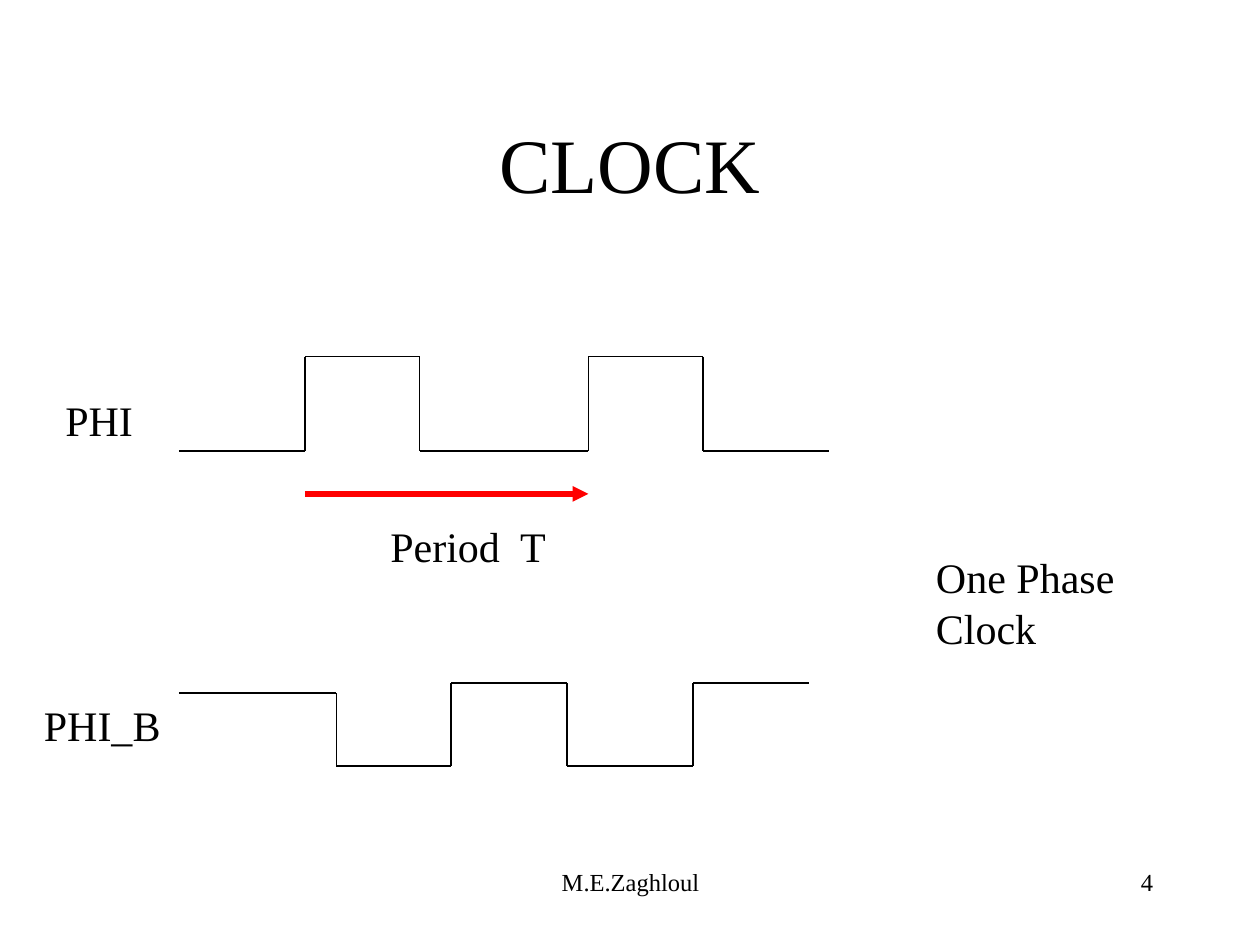
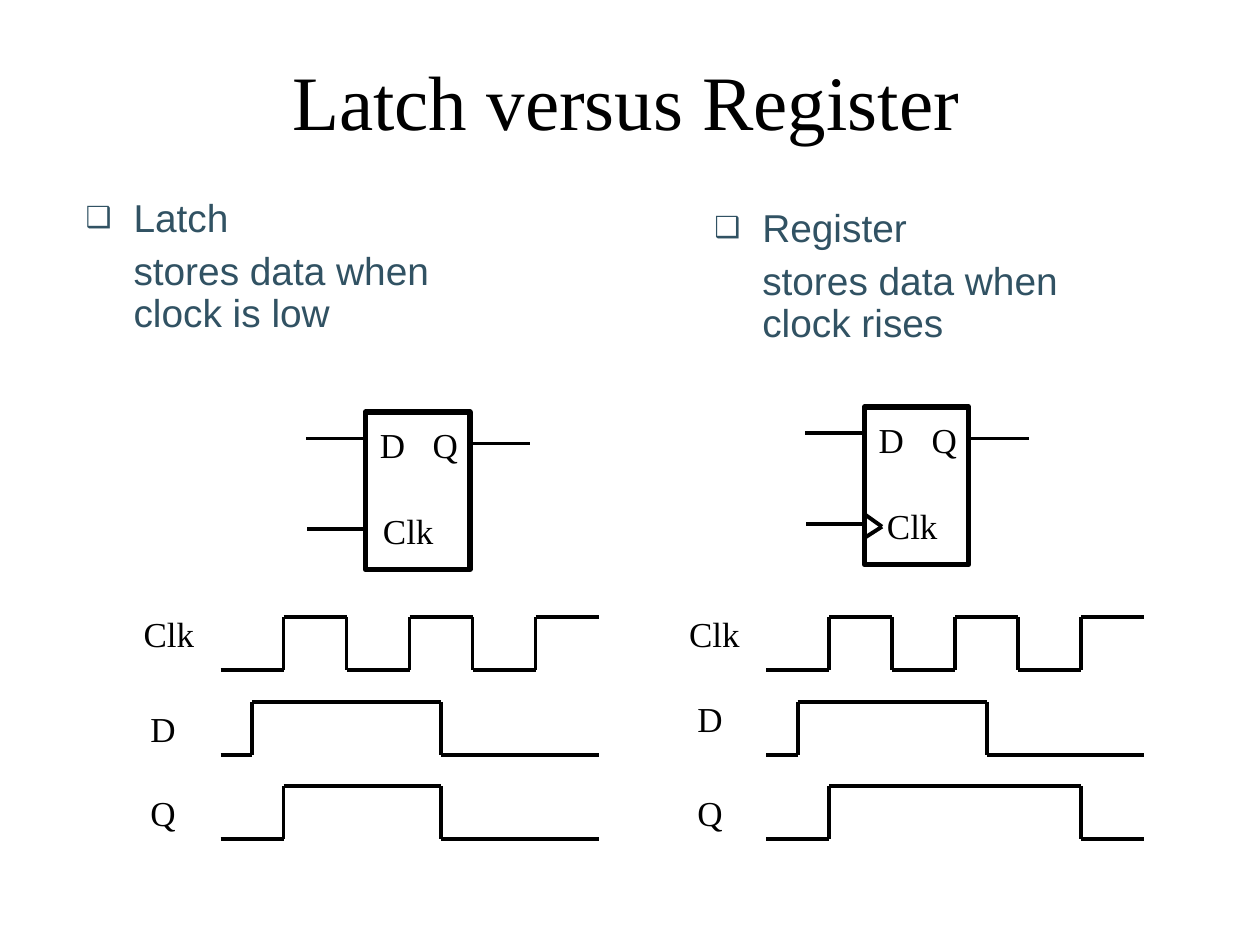
from dataclasses import dataclass
from itertools import pairwise

from lxml import etree
from pptx import Presentation
from pptx.dml.color import RGBColor
from pptx.enum.shapes import MSO_CONNECTOR, MSO_SHAPE
from pptx.enum.text import MSO_ANCHOR, MSO_AUTO_SIZE, PP_ALIGN
from pptx.oxml.ns import qn
from pptx.util import Inches, Pt

LEFT, CENTER, RIGHT = PP_ALIGN.LEFT, PP_ALIGN.CENTER, PP_ALIGN.RIGHT
TOP, MIDDLE = MSO_ANCHOR.TOP, MSO_ANCHOR.MIDDLE
STRAIGHT, RECTANGLE = MSO_CONNECTOR.STRAIGHT, MSO_SHAPE.RECTANGLE
TITLE_ONLY, TWO_CONTENT = 5, 3


@dataclass(frozen=True)
class Theme:
    serif: str = "Times New Roman"
    sans: str = "Arial"
    ink: str = "000000"
    slate: str = "315263"
    accent: str = "FF0000"
    title: float = 44
    note: float = 24
    body: float = 22.2
    label: float = 20
    footer: float = 14
    thin: float = 0.75
    medium: float = 2.25
    thick: float = 3


THEME = Theme()

# Content: clock slide (boxes are left, top, width, height in inches)
CLOCK_TITLE = ("CLOCK", (0.75, 0.67, 8.5, 1.25))
CLOCK_NOTES = [
    ("PHI", (0.42, 3.08, 0.8, 0.5)),
    ("Period  T", (3, 4.08, 2.17, 0.5)),
    ("PHI_B", (0.25, 5.5, 1.17, 0.5)),
    ("One Phase Clock", (7.33, 4.33, 2.25, 0.9)),
]
PHI = {"start": 1.42, "end": 6.58, "low": 3.58, "high": 2.83,
       "toggles": [2.42, 3.33, 4.67, 5.58]}
PHI_B_POINTS = [(1.42, 5.5), (2.67, 5.5), (2.67, 6.08), (3.58, 6.08), (3.58, 5.42),
                (4.5, 5.42), (4.5, 6.08), (5.5, 6.08), (5.5, 5.42), (6.42, 5.42)]
PERIOD_Y = 3.92
FOOTERS = [
    ("M.E.Zaghloul", (3.42, 6.83, 3.17, 0.5), CENTER),
    ("4", (7.17, 6.83, 2.08, 0.5), RIGHT),
]

# Content: latch and register, toggles in inches from the start of the wave
COMPARE_TITLE = ("Latch versus Register", (0.72, 0.4, 8.5, 0.78))
CLK_TOGGLES = [0.5, 1, 1.5, 2, 2.5]
D_TOGGLES = [0.25, 1.75]
DEVICES = [
    {"name": "Latch", "rule": "stores data when\vclock is low",
     "list_box": (0.58, 1.53, 4.54, 1.33), "symbol": (2.9, 3.27),
     "edge_triggered": False, "wave_left": 1.75,
     "waves": [("Clk", (1, 4.81), CLK_TOGGLES),
               ("D", (1.08, 5.56), D_TOGGLES),
               ("Q", (1.08, 6.23), [0.5, 1.75])]},
    {"name": "Register", "rule": "stores data when\vclock rises",
     "list_box": (5.57, 1.61, 3.93, 1.33), "symbol": (6.86, 3.23),
     "edge_triggered": True, "wave_left": 6.08,
     "waves": [("Clk", (5.33, 4.81), CLK_TOGGLES),
               ("D", (5.42, 5.48), D_TOGGLES),
               ("Q", (5.42, 6.23), [0.5, 2.5])]},
]
LABEL_WIDTHS = {"Clk": 0.68, "D": 0.43, "Q": 0.43}
LABEL_HEIGHT = 0.44

# Device symbol, relative to its top left corner
SYMBOL_SIZE = (0.83, 1.25)
PINS = [[(-0.47, 0.21), (0, 0.21)],
        [(-0.46, 0.93), (0.02, 0.93)],
        [(0.84, 0.25), (1.31, 0.25)]]
EDGE_MARK = [(0, 0.85), (0.14, 0.95), (0, 1.04)]
PIN_LABELS = [("D", 0, 0.04), ("Q", 0.42, 0.04), ("Clk", 0, 0.72)]
EDGE_LABEL_SHIFT = 0.04

# Timing diagram grid
WAVE_TOP, WAVE_HEIGHT, WAVE_STEP, WAVE_LENGTH = 4.9, 0.42, 0.67, 3


def place(shape, box):
    shape.left, shape.top, shape.width, shape.height = map(Inches, box)


def style(paragraph, size, face=THEME.serif, color=THEME.ink):
    for run in paragraph.runs:
        run.font.name = face
        run.font.size = Pt(size)
        run.font.color.rgb = RGBColor.from_string(color)


def add_title(slide, title):
    text, box = title
    place(slide.shapes.title, box)
    frame = slide.shapes.title.text_frame
    frame.text = text
    frame.vertical_anchor = MIDDLE
    frame.auto_size = MSO_AUTO_SIZE.NONE
    frame.paragraphs[0].alignment = CENTER
    style(frame.paragraphs[0], THEME.title)


def add_text(slide, text, box, size, align=LEFT, anchor=TOP):
    frame = slide.shapes.add_textbox(*map(Inches, box)).text_frame
    frame.word_wrap = True
    frame.vertical_anchor = anchor
    frame.text = text
    frame.paragraphs[0].alignment = align
    style(frame.paragraphs[0], size)


def add_label(slide, text, left, top):
    box = (left, top, LABEL_WIDTHS[text], LABEL_HEIGHT)
    add_text(slide, text, box, THEME.label, CENTER, MIDDLE)


def trace(slide, points, width, color=THEME.ink, arrow=False):
    """Join the points with straight lines."""
    for start, end in pairwise(points):
        segment = slide.shapes.add_connector(STRAIGHT, *map(Inches, start + end))
        segment.line.width = Pt(width)
        segment.line.color.rgb = RGBColor.from_string(color)
        properties = segment._element.spPr
        if arrow:
            etree.SubElement(properties.find(qn("a:ln")), qn("a:tailEnd"), type="triangle")
        etree.SubElement(properties, qn("a:effectLst"))


def square_wave(start, end, low, high, toggles):
    """Corner points of a wave that starts low and flips at each toggle."""
    points, level, other = [(start, low)], low, high
    for x in toggles:
        points += [(x, level), (x, other)]
        level, other = other, level
    return points + [(end, level)]


def shifted(points, left, top):
    return [(left + x, top + y) for x, y in points]


def add_list(placeholder, device):
    place(placeholder, device["list_box"])
    frame = placeholder.text_frame
    frame.auto_size = MSO_AUTO_SIZE.NONE
    frame.vertical_anchor = TOP
    name, rule = frame.paragraphs[0], frame.add_paragraph()
    name.text, rule.text = device["name"], device["rule"]
    for paragraph, before, indent in ((name, 0, -0.38), (rule, 6, 0)):
        paragraph.line_spacing = 0.9
        paragraph.space_before = Pt(before)
        properties = paragraph._p.get_or_add_pPr()
        properties.set("marL", str(Inches(0.38)))
        properties.set("indent", str(Inches(indent)))
        if paragraph is name:
            bullet_color = etree.SubElement(properties, qn("a:buClr"))
            etree.SubElement(bullet_color, qn("a:srgbClr"), val=THEME.slate)
            etree.SubElement(properties, qn("a:buSzPct"), val="75000")
            etree.SubElement(properties, qn("a:buChar"), char="❑")
        else:
            etree.SubElement(properties, qn("a:buNone"))
        style(paragraph, THEME.body, THEME.sans, THEME.slate)


def add_symbol(slide, device):
    left, top = device["symbol"]
    body = slide.shapes.add_shape(RECTANGLE, *map(Inches, (left, top) + SYMBOL_SIZE))
    body.shadow.inherit = False
    body.fill.background()
    body.line.color.rgb = RGBColor.from_string(THEME.ink)
    body.line.width = Pt(THEME.thick)
    edge = device["edge_triggered"]
    for line in PINS + ([EDGE_MARK] if edge else []):
        trace(slide, shifted(line, left, top), THEME.medium)
    for text, dx, dy in PIN_LABELS:
        shift = EDGE_LABEL_SHIFT if edge and text == "Clk" else 0
        add_label(slide, text, left + dx + shift, top + dy)


def add_timing(slide, device):
    left = device["wave_left"]
    for row, (text, label_at, toggles) in enumerate(device["waves"]):
        high = WAVE_TOP + row * WAVE_STEP
        wave = square_wave(0, WAVE_LENGTH, high + WAVE_HEIGHT, high, toggles)
        trace(slide, shifted(wave, left, 0), THEME.medium)
        add_label(slide, text, *label_at)


def build_clock(deck):
    slide = deck.slides.add_slide(deck.slide_layouts[TITLE_ONLY])
    add_title(slide, CLOCK_TITLE)
    trace(slide, square_wave(**PHI), THEME.thin)
    trace(slide, PHI_B_POINTS, THEME.thin)
    # The period spans one rising edge to the next
    first_rise, next_rise = PHI["toggles"][0:3:2]
    trace(slide, [(first_rise, PERIOD_Y), (next_rise, PERIOD_Y)],
          THEME.thick, THEME.accent, arrow=True)
    for text, box in CLOCK_NOTES:
        add_text(slide, text, box, THEME.note)
    for text, box, align in FOOTERS:
        add_text(slide, text, box, THEME.footer, align)


def build_comparison(deck):
    slide = deck.slides.add_slide(deck.slide_layouts[TWO_CONTENT])
    add_title(slide, COMPARE_TITLE)
    for index, device in enumerate(DEVICES, start=1):
        add_list(slide.placeholders[index], device)
        add_symbol(slide, device)
        add_timing(slide, device)


def main():
    deck = Presentation()
    deck.slide_width, deck.slide_height = Inches(10), Inches(7.5)
    build_clock(deck)
    build_comparison(deck)
    deck.save("out.pptx")


if __name__ == "__main__":
    main()
